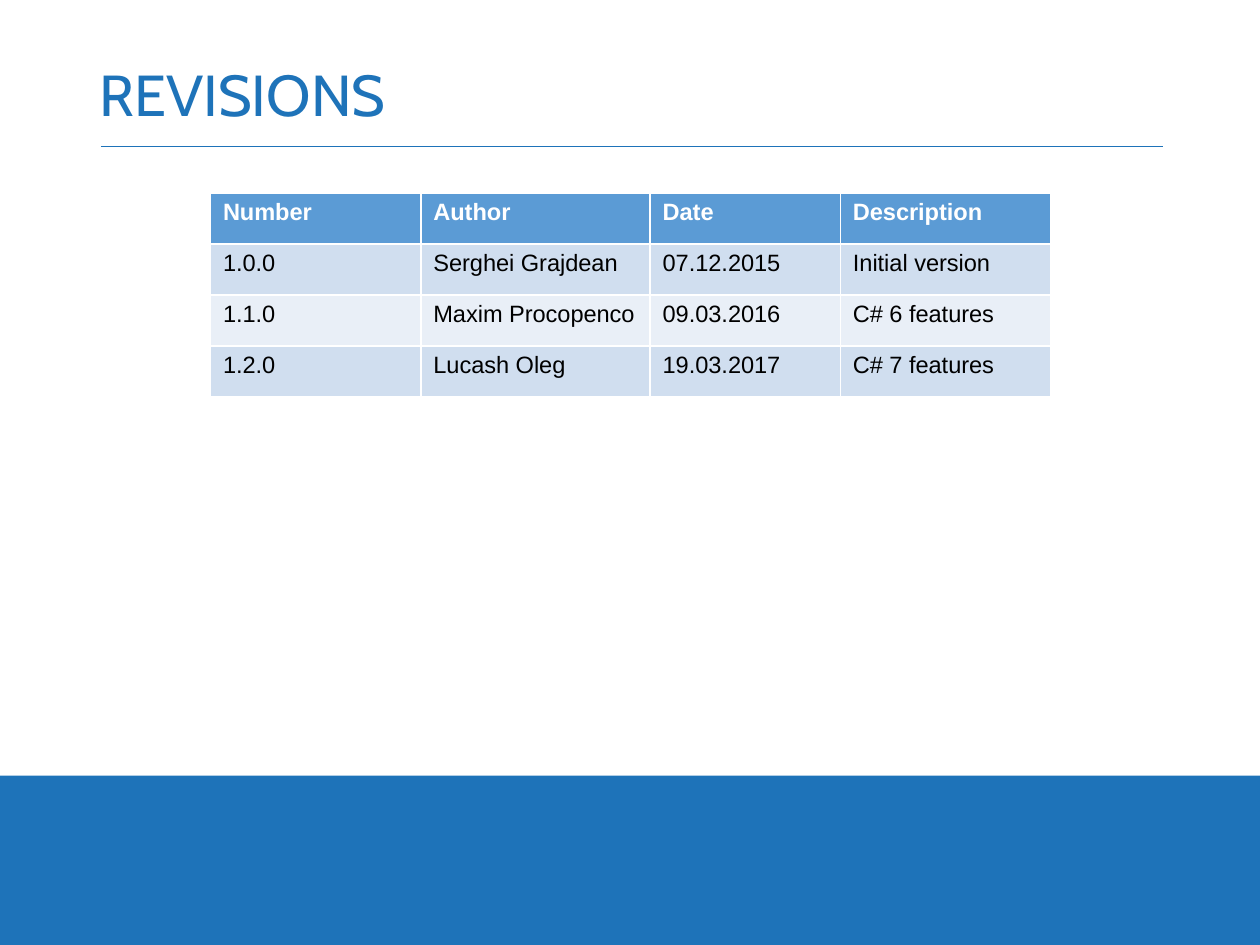
from dataclasses import astuple, dataclass

from lxml import etree
from pptx import Presentation
from pptx import util as u
from pptx.dml.color import RGBColor
from pptx.enum import shapes, text
from pptx.oxml.ns import qn

WIDTH, HEIGHT = u.Inches(10), u.Inches(7.5)
BLUE, WHITE, BLACK = "1E73B9", "FFFFFF", "000000"
HEADER_FILL, BAND_FILLS = "5B9BD5", ("D0DEEF", "E9EFF7")
COLUMN_SHARES = (0.167, 0.182, 0.151, 0.167)
ROW_SHARE = 0.054


@dataclass
class Revision:
    number: str
    author: str
    date: str
    description: str


HEADINGS = Revision("Number", "Author", "Date", "Description")
REVISIONS = [
    Revision("1.0.0", "Serghei Grajdean", "07.12.2015", "Initial version"),
    Revision("1.1.0", "Maxim Procopenco", "09.03.2016", "C# 6 features"),
    Revision("1.2.0", "Lucash Oleg", "19.03.2017", "C# 7 features"),
]


def color(value: str) -> RGBColor:
    return RGBColor.from_string(value)


def across(share: float) -> int:
    return round(WIDTH * share)


def down(share: float) -> int:
    return round(HEIGHT * share)


def paint(fill, value: str) -> None:
    fill.solid()
    fill.fore_color.rgb = color(value)


def format_font(paragraph, name: str, size: float, value: str, bold: bool) -> None:
    for run in paragraph.runs:
        run.font.name, run.font.size, run.font.bold = name, u.Pt(size), bold
        run.font.color.rgb = color(value)


def add_title(slide, words: str):
    title = slide.shapes.title
    title.left, title.top = across(0.069), down(0.053)
    title.width, title.height = across(0.862), down(0.101)
    frame = title.text_frame
    frame.text = words
    frame.auto_size = text.MSO_AUTO_SIZE.NONE
    frame.vertical_anchor = text.MSO_ANCHOR.MIDDLE
    paragraph = frame.paragraphs[0]
    paragraph.alignment = text.PP_ALIGN.LEFT
    paragraph.line_spacing = 0.9
    format_font(paragraph, "Cabin", 33, BLUE, False)
    return title


def add_panel(slide, title) -> None:
    panel = slide.shapes.add_shape(
        shapes.MSO_SHAPE.RECTANGLE, 0, 0, WIDTH, down(0.821))
    panel.shadow.inherit = False
    paint(panel.fill, WHITE)
    panel.line.fill.background()
    title.element.addprevious(panel.element)  # behind the title


def add_rule(slide) -> None:
    rule = slide.shapes.add_connector(
        shapes.MSO_CONNECTOR.STRAIGHT,
        across(0.08), down(0.155), across(0.923), down(0.155))
    rule.line.color.rgb = color(BLUE)
    rule.line.width = u.Pt(0.75)
    etree.SubElement(rule.element.spPr, qn("a:effectLst"))


def add_revision_table(slide) -> None:
    rows = [HEADINGS, *REVISIONS]
    table = slide.shapes.add_table(
        len(rows), len(COLUMN_SHARES), across(0.167), down(0.204),
        across(sum(COLUMN_SHARES)), down(ROW_SHARE * len(rows))).table
    for column, share in zip(table.columns, COLUMN_SHARES):
        column.width = across(share)
    for index, revision in enumerate(rows):
        table.rows[index].height = down(ROW_SHARE)
        is_header = index == 0
        fill = HEADER_FILL if is_header else BAND_FILLS[(index - 1) % 2]
        for cell, words in zip(table.rows[index].cells, astuple(revision)):
            paint(cell.fill, fill)
            cell.text_frame.text = words
            format_font(cell.text_frame.paragraphs[0], "Arial", 13.5,
                        WHITE if is_header else BLACK, is_header)


def main() -> None:
    presentation = Presentation()
    presentation.slide_width, presentation.slide_height = WIDTH, HEIGHT
    slide = presentation.slides.add_slide(presentation.slide_layouts[5])

    # Blue ground, white panel, title and rule
    paint(slide.background.fill, BLUE)
    title = add_title(slide, "REVISIONS")
    add_panel(slide, title)
    add_rule(slide)

    # Revision history
    add_revision_table(slide)
    presentation.save("out.pptx")


if __name__ == "__main__":
    main()
